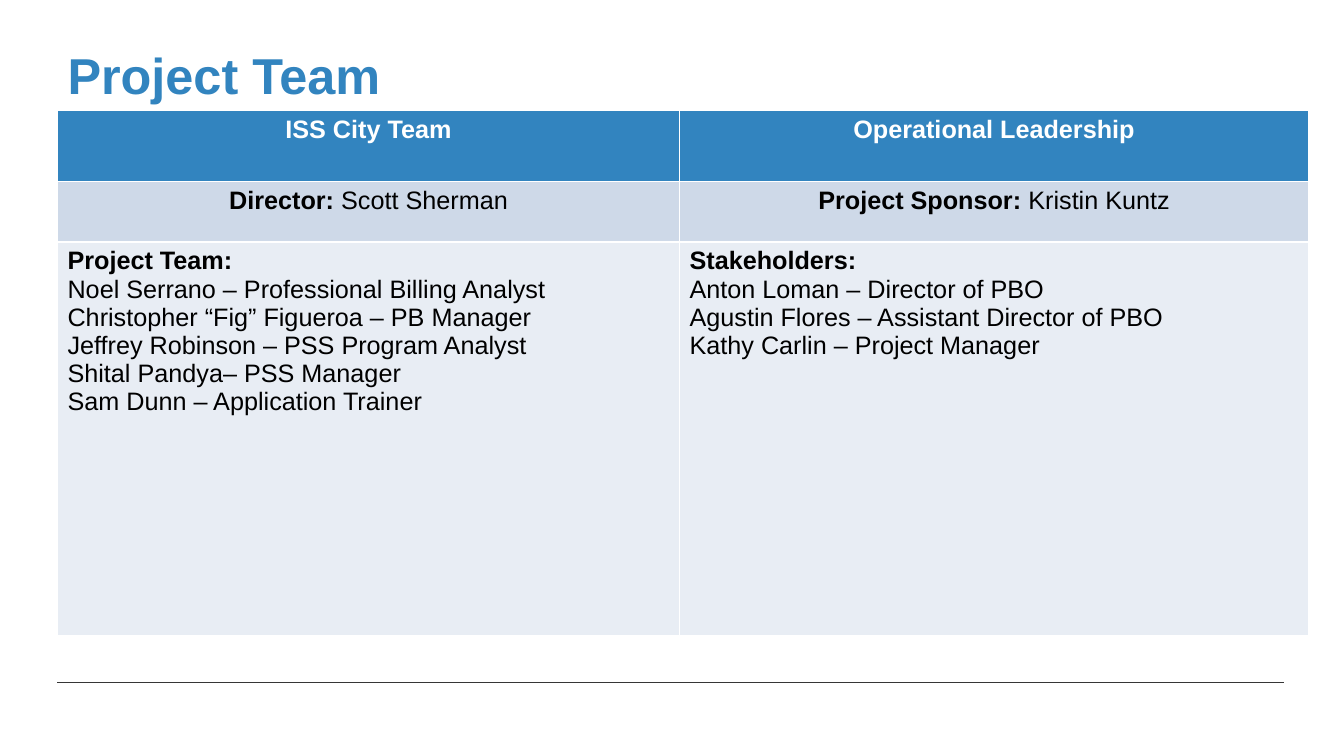
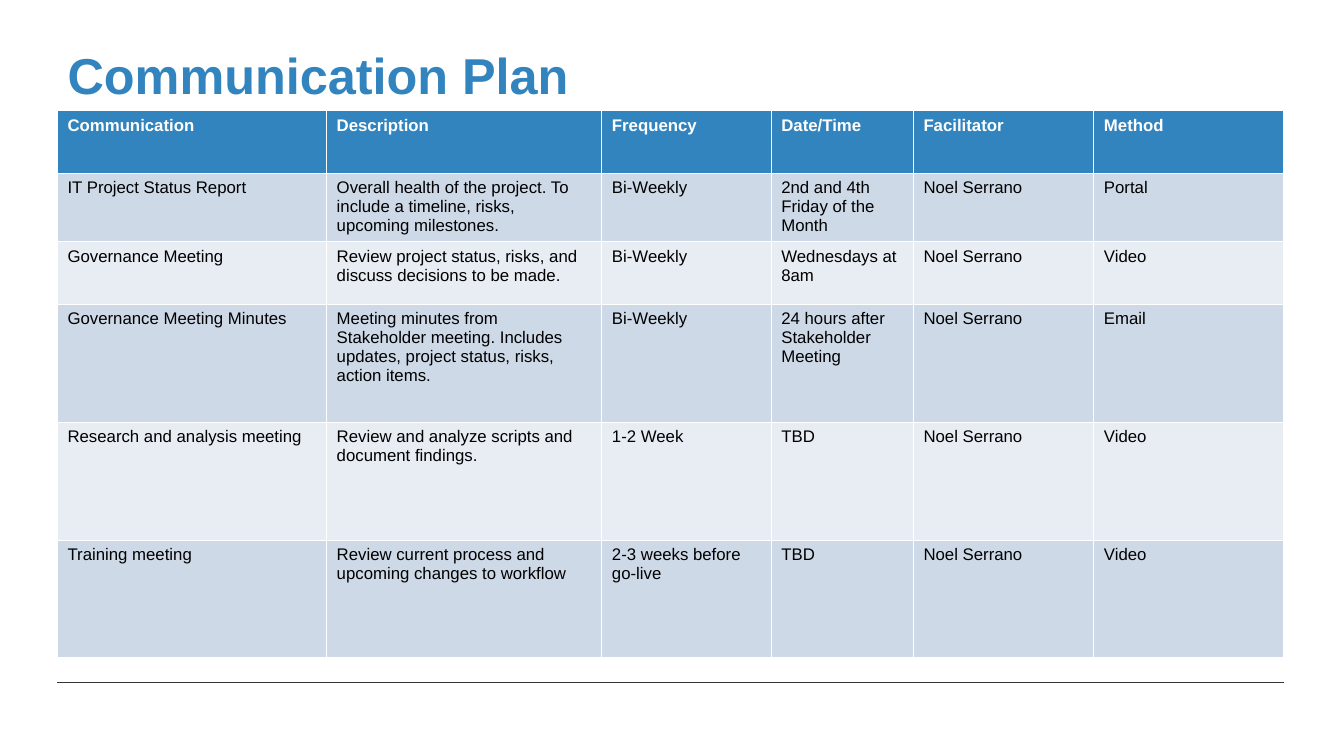
import pptx
import pptx.dml.color
import pptx.enum.shapes
import pptx.enum.text
import pptx.util
from lxml import etree

FONT = "Arial"
BLUE, WHITE, BLACK, GREY = "3284BF", "FFFFFF", "000000", "363636"
BANDS = ("CED9E8", "E8EDF4")

SLIDE_WIDTH, SLIDE_HEIGHT = 13.33, 7.5
MARGIN = 0.57
CONTENT_WIDTH = 12.16
TITLE_TOP, TITLE_HEIGHT = 0.02, 1.08
TABLE_TOP = TITLE_TOP + TITLE_HEIGHT
FOOTER_Y = 6.77

TEAM_COLUMNS = (6.17, 6.24)
TEAM_ROWS = (0.7, 0.6, 3.91)
TEAM = (
    ("ISS City Team", "Operational Leadership"),
    ("Director: Scott Sherman", "Project Sponsor: Kristin Kuntz"),
    (
        "Project Team:\n"
        "Noel Serrano – Professional Billing Analyst\n"
        "Christopher “Fig” Figueroa – PB Manager\n"
        "Jeffrey Robinson – PSS Program Analyst\n"
        "Shital Pandya– PSS Manager\n"
        "Sam Dunn – Application Trainer",
        "Stakeholders:\n"
        "Anton Loman – Director of PBO\n"
        "Agustin Flores – Assistant Director of PBO\n"
        "Kathy Carlin – Project Manager",
    ),
)

PLAN_COLUMNS = (2.67, 2.73, 1.68, 1.41, 1.79, 1.88)
PLAN_ROWS = (0.62, 0.68, 0.62, 1.17, 1.17, 1.17)
PLAN = (
    ("Communication", "Description", "Frequency", "Date/Time", "Facilitator", "Method"),
    ("IT Project Status Report",
     "Overall health of the project. To include a timeline, risks, upcoming milestones.",
     "Bi-Weekly", "2nd and 4th Friday of the Month", "Noel Serrano", "Portal"),
    ("Governance Meeting",
     "Review project status, risks, and discuss decisions to be made.",
     "Bi-Weekly", "Wednesdays at 8am", "Noel Serrano", "Video"),
    ("Governance Meeting Minutes",
     "Meeting minutes from Stakeholder meeting. Includes updates, project status, "
     "risks, action items.",
     "Bi-Weekly", "24 hours after Stakeholder Meeting", "Noel Serrano", "Email"),
    ("Research and analysis meeting",
     "Review and analyze scripts and document findings.",
     "1-2 Week", "TBD", "Noel Serrano", "Video"),
    ("Training meeting",
     "Review current process and upcoming changes to workflow",
     "2-3 weeks before go-live", "TBD", "Noel Serrano", "Video"),
)


def inches(*lengths):
    return [pptx.util.Inches(length) for length in lengths]


def color(hex_text):
    return pptx.dml.color.RGBColor.from_string(hex_text)


def format_run(run, size, hex_text, bold):
    run.font.name = FONT
    run.font.size = pptx.util.Pt(size)
    run.font.color.rgb = color(hex_text)
    run.font.bold = bold


def add_footer_line(page):
    line = page.shapes.add_connector(
        pptx.enum.shapes.MSO_CONNECTOR.STRAIGHT,
        *inches(MARGIN, FOOTER_Y, MARGIN + CONTENT_WIDTH, FOOTER_Y))
    line.line.color.rgb = color(GREY)
    line.line.width = pptx.util.Pt(0.5)
    properties = line.element.spPr
    etree.SubElement(properties, pptx.oxml.ns.qn("a:effectLst"))


def set_title(page, text):
    title = page.shapes.title
    title.left, title.top, title.width, title.height = inches(
        MARGIN, TITLE_TOP, CONTENT_WIDTH, TITLE_HEIGHT)
    frame = title.text_frame
    frame.text = text
    frame.auto_size = pptx.enum.text.MSO_AUTO_SIZE.NONE
    frame.vertical_anchor = pptx.enum.text.MSO_ANCHOR.BOTTOM
    para = frame.paragraphs[0]
    para.alignment = pptx.enum.text.PP_ALIGN.LEFT
    para.line_spacing = 0.9
    format_run(para.runs[0], 36, BLUE, True)


def add_page(deck, title):
    page = deck.slides.add_slide(deck.slide_layouts.get_by_name("Title Only"))
    add_footer_line(page)
    set_title(page, title)
    return page


def fill_cell(cell, text, size, row, centered):
    """Write a header or banded cell; in the body, text up to a colon is bold."""
    is_header = row == 0
    cell.fill.solid()
    cell.fill.fore_color.rgb = color(BLUE if is_header else BANDS[(row - 1) % 2])
    cell.text_frame.text = text
    for para in cell.text_frame.paragraphs:
        label, colon, rest = para.text.partition(":")
        if colon and rest:
            para.runs[0].text = label + colon
            para.add_run().text = rest
        if centered:
            para.alignment = pptx.enum.text.PP_ALIGN.CENTER
        for index, run in enumerate(para.runs):
            bold = is_header or (bool(colon) and index == 0)
            format_run(run, size, WHITE if is_header else BLACK, bold)


def add_grid(page, columns, rows, content, size, centered_rows=0):
    """Add a table whose first centered_rows rows are centred."""
    frame = page.shapes.add_table(
        len(rows), len(columns),
        *inches(MARGIN, TABLE_TOP, sum(columns), sum(rows)))
    table = frame.table
    for column, width in zip(table.columns, inches(*columns)):
        column.width = width
    for row, height in zip(table.rows, inches(*rows)):
        row.height = height
    for row_index, texts in enumerate(content):
        for column_index, text in enumerate(texts):
            fill_cell(table.cell(row_index, column_index), text, size,
                      row_index, row_index < centered_rows)


def main():
    deck = pptx.Presentation()
    deck.slide_width, deck.slide_height = inches(SLIDE_WIDTH, SLIDE_HEIGHT)
    team_page = add_page(deck, "Project Team")
    add_grid(team_page, TEAM_COLUMNS, TEAM_ROWS, TEAM, 18, centered_rows=2)
    plan_page = add_page(deck, "Communication Plan")
    add_grid(plan_page, PLAN_COLUMNS, PLAN_ROWS, PLAN, 12)
    deck.save("out.pptx")


if __name__ == "__main__":
    main()
